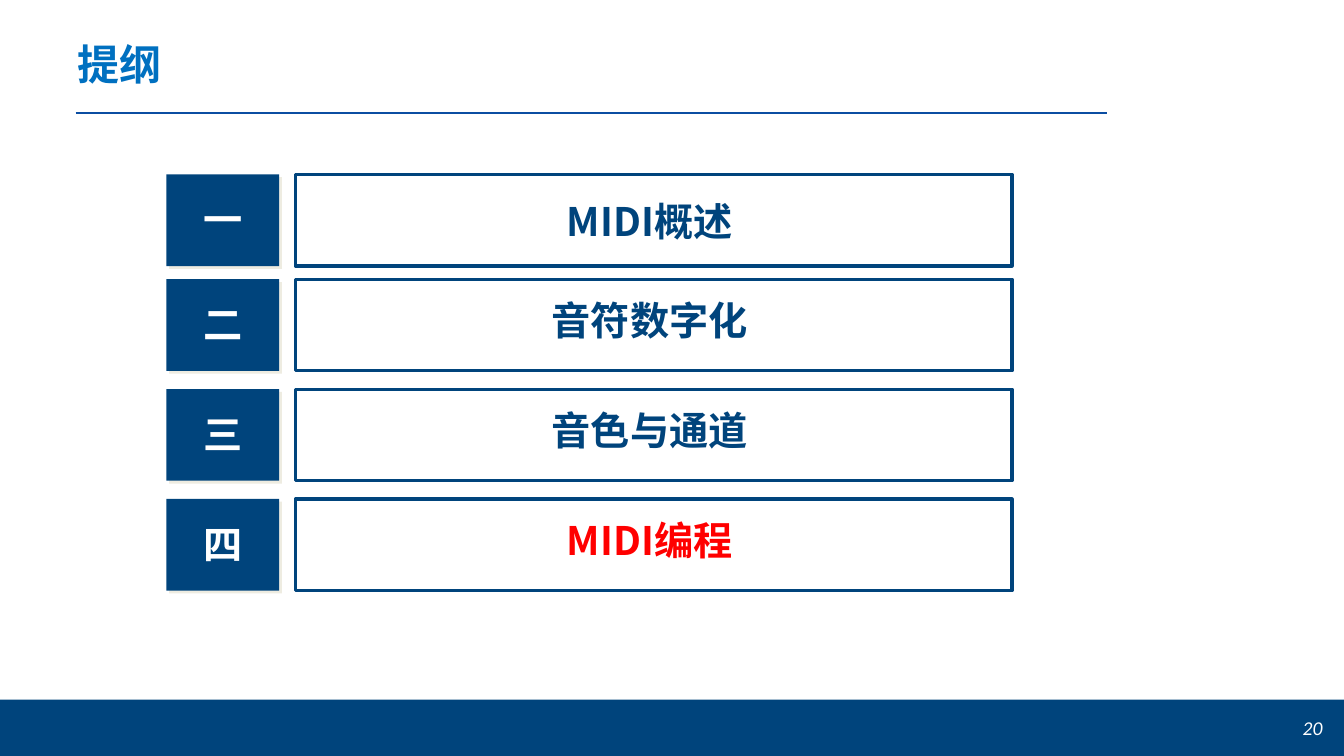
from dataclasses import dataclass

from lxml import etree
from pptx import Presentation
from pptx.dml.color import RGBColor
from pptx.enum.shapes import MSO_CONNECTOR, MSO_SHAPE
from pptx.enum.text import MSO_ANCHOR, MSO_AUTO_SIZE, PP_ALIGN
from pptx.oxml import parse_xml
from pptx.oxml.ns import nsdecls, qn
from pptx.util import Inches, Pt

RECTANGLE, STRAIGHT = MSO_SHAPE.RECTANGLE, MSO_CONNECTOR.STRAIGHT
MIDDLE, FIXED = MSO_ANCHOR.MIDDLE, MSO_AUTO_SIZE.NONE
LEFT, CENTER, RIGHT = PP_ALIGN.LEFT, PP_ALIGN.CENTER, PP_ALIGN.RIGHT

NAVY = RGBColor(0x00, 0x44, 0x7C)
RULE_BLUE = RGBColor(0x0B, 0x4D, 0xA2)
TITLE_BLUE = RGBColor(0x00, 0x70, 0xC0)
RED = RGBColor(0xFF, 0x00, 0x00)
WHITE = RGBColor(0xFF, 0xFF, 0xFF)
SHADOW = RGBColor(0xEE, 0xEC, 0xE1)

CJK_FONT = "Noto Sans CJK SC"
CELL = Inches(0.1)  # side of one grid cell
COLUMNS, ROWS = 133.33, 75
BAND_ROWS = 5.6


@dataclass(frozen=True)
class Area:
    """A rectangle in grid columns and rows."""
    column: float
    row: float
    columns: float
    rows: float

    def lengths(self) -> tuple:
        return tuple(round(n * CELL) for n in
                     (self.column, self.row, self.columns, self.rows))


@dataclass(frozen=True)
class TextStyle:
    size: int
    color: RGBColor
    align: PP_ALIGN
    latin: str = CJK_FONT
    bold: bool = True
    italic: bool = False


@dataclass(frozen=True)
class Topic:
    numeral: str
    name: str
    row: float
    name_drop: float = 1.7
    color: RGBColor = NAVY


TOPICS = (
    Topic("一", "MIDI概述", 17.3, name_drop=2.3),
    Topic("二", "音符数字化", 27.7),
    Topic("三", "音色与通道", 38.6),
    Topic("四", "MIDI编程", 49.5, color=RED),
)


def write(frame, text: str, style: TextStyle):
    """Put one styled, vertically centred paragraph into a text frame."""
    frame.text = text
    frame.word_wrap = True
    frame.auto_size = FIXED
    frame.vertical_anchor = MIDDLE
    para = frame.paragraphs[0]
    para.alignment = style.align
    font = para.font
    font.name, font.size = style.latin, Pt(style.size)
    font.bold, font.italic = style.bold, style.italic
    font.color.rgb = style.color
    defaults = para._p.get_or_add_pPr().find(qn("a:defRPr"))
    east_asian = etree.SubElement(defaults, qn("a:ea"))
    east_asian.set("typeface", CJK_FONT)
    return para


def add_box(shapes, area: Area, fill: RGBColor, line: RGBColor | None = None):
    box = shapes.add_shape(RECTANGLE, *area.lengths())
    box.shadow.inherit = False
    box.fill.solid()
    box.fill.fore_color.rgb = fill
    if line is None:
        box.line.fill.background()
    else:
        box.line.color.rgb = line
        box.line.width = Pt(2.25)
    return box


def add_shadow(box) -> None:
    effects = box._element.spPr.find(qn("a:effectLst"))
    effects.append(parse_xml(
        f'<a:outerShdw {nsdecls("a")} dist="{Pt(2.8)}" dir="2700000" '
        f'algn="ctr" rotWithShape="0"><a:srgbClr val="{SHADOW}"/></a:outerShdw>'))


def add_topic(page, topic: Topic) -> None:
    shapes = page.shapes.add_group_shape().shapes
    add_shadow(add_box(shapes, Area(16.5, topic.row, 11.2, 9.1), NAVY))
    add_box(shapes, Area(29.3, topic.row, 71.1, 9.1), WHITE, NAVY)

    numeral = add_box(shapes, Area(18.1, topic.row + 1.6, 8, 5.7), NAVY)
    write(numeral.text_frame, topic.numeral, TextStyle(28, WHITE, CENTER))

    name_area = Area(29.3, topic.row + topic.name_drop, 70.3, 4.7)
    frame = shapes.add_textbox(*name_area.lengths()).text_frame
    frame.margin_left = frame.margin_right = 0
    frame.margin_top = frame.margin_bottom = 0
    write(frame, topic.name, TextStyle(28, topic.color, CENTER))


def add_heading(page) -> None:
    title = page.shapes.title
    title.left, title.top, title.width, title.height = Area(
        6.7, 1.7, 102.6, 8.6).lengths()
    para = write(title.text_frame, "提纲",
                 TextStyle(30, TITLE_BLUE, LEFT, "Times New Roman"))
    para.line_spacing = 1.14
    para.space_before = Pt(3)

    start, height, length, _ = Area(7.5, 11.2, 102.3, 0).lengths()
    rule = page.shapes.add_connector(
        STRAIGHT, start, height, start + length, height)
    rule.line.color.rgb = RULE_BLUE
    rule.line.width = Pt(1.5)
    etree.SubElement(rule._element.spPr, qn("a:effectLst"))


def add_footer(page) -> None:
    add_box(page.shapes, Area(0, ROWS - BAND_ROWS, COLUMNS, BAND_ROWS), NAVY)
    number = page.shapes.add_textbox(*Area(117.9, 70.2, 14.3, 4).lengths())
    write(number.text_frame, "20",
          TextStyle(14, WHITE, RIGHT, "Calibri", bold=False, italic=True))


def main() -> None:
    deck = Presentation()
    deck.slide_width = round(COLUMNS * CELL)
    deck.slide_height = ROWS * CELL
    page = deck.slides.add_slide(deck.slide_layouts[5])  # title only

    add_heading(page)
    for topic in TOPICS:
        add_topic(page, topic)
    add_footer(page)
    deck.save("out.pptx")


if __name__ == "__main__":
    main()
